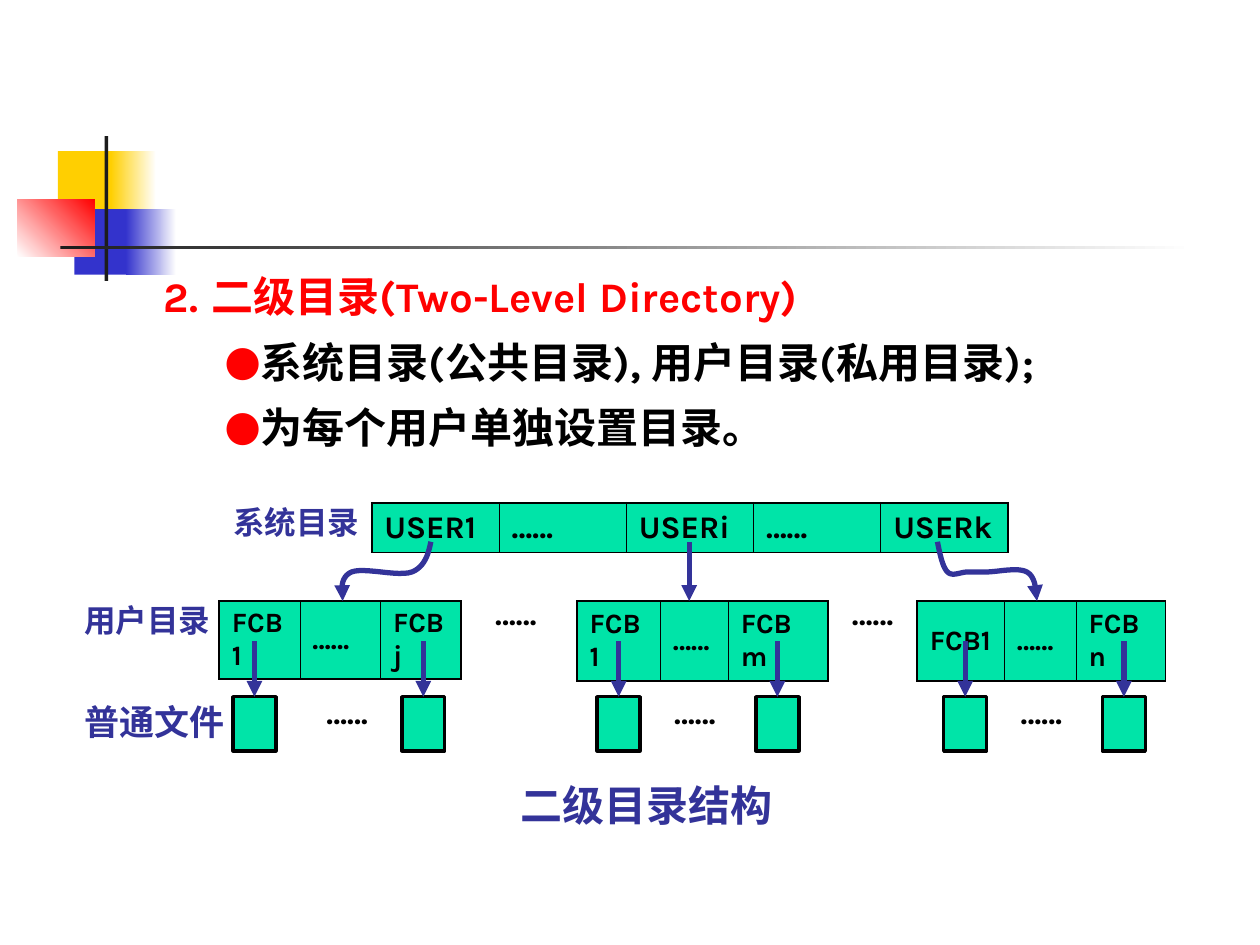
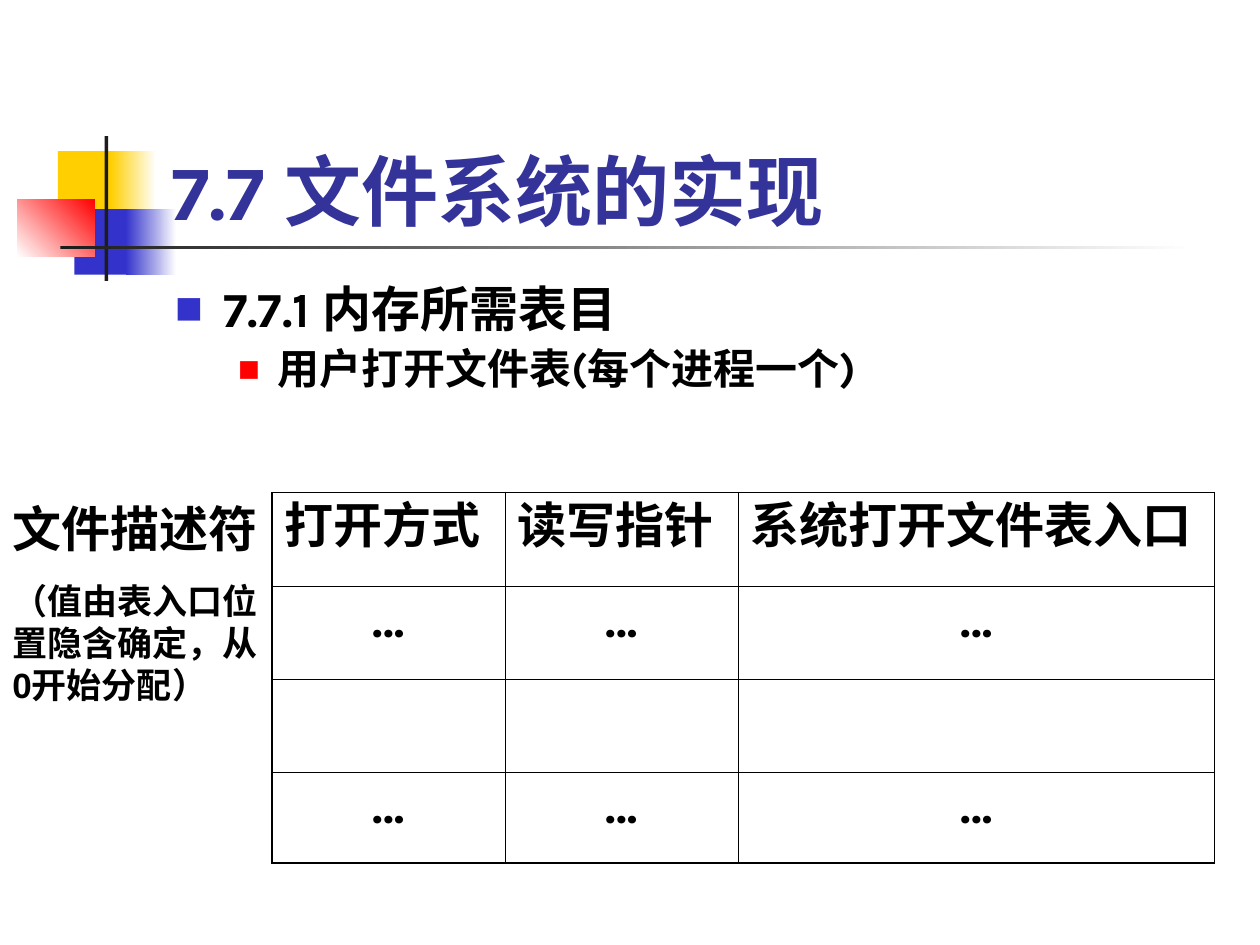
from itertools import accumulate

from lxml.etree import SubElement
from pptx import Presentation
from pptx.dml.color import RGBColor
from pptx.enum.shapes import MSO_CONNECTOR, MSO_SHAPE
from pptx.enum.text import MSO_ANCHOR, MSO_AUTO_SIZE, PP_ALIGN
from pptx.oxml.ns import qn
from pptx.util import Inches, Pt

RECT = MSO_SHAPE.RECTANGLE
LINE = MSO_CONNECTOR.STRAIGHT
TOP, MIDDLE, BOTTOM = MSO_ANCHOR.TOP, MSO_ANCHOR.MIDDLE, MSO_ANCHOR.BOTTOM
LEFT, CENTER = PP_ALIGN.LEFT, PP_ALIGN.CENTER
FIXED = MSO_AUTO_SIZE.NONE

BLACK = RGBColor(0x00, 0x00, 0x00)
WHITE = RGBColor(0xFF, 0xFF, 0xFF)
RED = RGBColor(0xFF, 0x00, 0x00)
GOLD = RGBColor(0xFF, 0xCF, 0x01)
BLUE = RGBColor(0x33, 0x33, 0xCC)
NAVY = RGBColor(0x33, 0x33, 0x99)
DARK = RGBColor(0x1C, 0x1C, 0x1C)
GREEN = RGBColor(0x00, 0xE4, 0xA8)

FONT = "Karla"
DOTS = "……"
THICK, THIN = 1.08, 0.45
FILE_W, FILE_H = 0.34, 0.43
DOT_W, DOT_H = 0.87, 0.24


def inches(*nums):
    """Turn numbers into lengths."""
    return [Inches(num) for num in nums]


def put(para, text, size=18, color=BLACK, face=FONT, align=LEFT, line=1.0, before=0):
    """Write bold text into a paragraph."""
    para.alignment, para.line_spacing, para.space_before = align, line, Pt(before)
    run = para.add_run()
    run.text = text
    font = run.font
    font.size, font.bold, font.name = Pt(size), True, face
    font.color.rgb = color
    SubElement(run._r.get_or_add_rPr(), qn("a:ea"), typeface=face)


def label(slide, box, text, **form):
    """Add a text box without insets."""
    frame = slide.shapes.add_textbox(*inches(*box)).text_frame
    frame.word_wrap = True
    frame.margin_left = frame.margin_right = frame.margin_top = frame.margin_bottom = 0
    put(frame.paragraphs[0], text, **form)


def bullet(para, mark, color, left, hang, scale=100):
    """Give a paragraph a hanging mark; a number starts a numbered list."""
    props = para._p.get_or_add_pPr()
    props.set("marL", str(Inches(left)))
    props.set("indent", str(-Inches(hang)))
    tint = SubElement(props, qn("a:buClr"))
    SubElement(tint, qn("a:srgbClr"), val=str(color))
    SubElement(props, qn("a:buSzPct"), val=str(scale * 1000))
    SubElement(props, qn("a:buFont"), typeface=FONT)
    if isinstance(mark, int):
        SubElement(props, qn("a:buAutoNum"), type="arabicPeriod", startAt=str(mark))
    else:
        SubElement(props, qn("a:buChar"), char=mark)


def place(shape, box, anchor):
    """Move a placeholder and return its text frame."""
    shape.left, shape.top, shape.width, shape.height = inches(*box)
    frame = shape.text_frame
    frame.auto_size, frame.vertical_anchor, frame.word_wrap = FIXED, anchor, True
    return frame


def block(slide, box, fill, end=None, angle=0):
    """Add a rectangle, plain or fading to a second colour."""
    shape = slide.shapes.add_shape(RECT, *inches(*box))
    shape.shadow.inherit = False
    shape.line.fill.background()
    if end is None:
        shape.fill.solid()
        shape.fill.fore_color.rgb = fill
    else:
        shape.fill.gradient()
        shape.fill.gradient_angle = angle
        for stop, color in zip(shape.fill.gradient_stops, (fill, end)):
            stop.color.rgb = color
    return shape


def decor(slide, master, x, y):
    """Build the corner mark and rule, and hand them to the master."""
    parts = [
        ((0.32, 0.12, 0.48, 0.52), GOLD),
        ((0.74, 0.12, 0.36, 0.52), GOLD, WHITE),
        ((0.45, 0.58, 0.46, 0.52), BLUE),
        ((0.86, 0.58, 0.4, 0.52), BLUE, WHITE),
        ((0, 0.5, 0.61, 0.46), WHITE, RED, 45),
        ((0.69, 0, 0.03, 1.15), DARK),
        ((0.34, 0.87, 9, 0.03), DARK, WHITE),
    ]
    for i, ((dx, dy, w, h), *fill) in enumerate(parts):
        node = block(slide, (x + dx, y + dy, w, h), *fill).element
        node.nvSpPr.cNvPr.set("id", str(20 + i))
        master.shapes.element.insert(2 + i, node)


def edge(cell, sides):
    """Draw a cell's borders from a side-to-width map."""
    props = cell._tc.get_or_add_tcPr()
    for side, width in sides.items():
        ln = SubElement(props, qn("a:ln" + side), w=str(Pt(width)))
        fill = SubElement(ln, qn("a:solidFill"))
        SubElement(fill, qn("a:srgbClr"), val=str(BLACK))


def grid(slide, x, y, cols, rows, texts, fill=None, anchor=TOP, **form):
    """Add a table with a heavier outer border."""
    box = inches(x, y, sum(cols), sum(rows))
    table = slide.shapes.add_table(len(rows), len(cols), *box).table
    table.first_row = table.horz_banding = False
    for col, width in zip(table.columns, cols):
        col.width = Inches(width)
    for r, height in enumerate(rows):
        table.rows[r].height = Inches(height)
        for c in range(len(cols)):
            cell = table.cell(r, c)
            outer = {"L": c == 0, "R": c == len(cols) - 1,
                     "T": r == 0, "B": r == len(rows) - 1}
            edge(cell, {side: THICK if out else THIN for side, out in outer.items()})
            if fill is None:
                cell.fill.background()
            else:
                cell.fill.solid()
                cell.fill.fore_color.rgb = fill
            cell.vertical_anchor = anchor
            if texts[r][c]:
                align = CENTER if texts[r][c] == "…" else LEFT
                put(cell.text_frame.paragraphs[0], texts[r][c], align=align, **form)


def tip(shape):
    """Style a line as a navy arrow."""
    shape.line.color.rgb, shape.line.width = NAVY, Pt(3)
    props = shape.element.spPr
    SubElement(props.find(qn("a:ln")), qn("a:tailEnd"), type="triangle")
    if props.find(qn("a:effectLst")) is None:
        SubElement(props, qn("a:effectLst"))


def arrow(slide, x, top, end, target=None):
    """Add a vertical arrow, joined to a target's top if given."""
    line = slide.shapes.add_connector(LINE, *inches(x, top, x, end))
    if target is not None:
        line.end_connect(target, 0)
    tip(line)


def curve(slide, x, y, nodes):
    """Add a curved arrow through cubic Bezier nodes."""
    pts = []
    for i in range(0, len(nodes) - 1, 3):
        four = nodes[i:i + 4]
        for k in range(1, 13):
            t = k / 12
            mix = ((1 - t) ** 3, 3 * t * (1 - t) ** 2, 3 * t * t * (1 - t), t ** 3)
            px, py = (sum(m * n[d] for m, n in zip(mix, four)) for d in (0, 1))
            pts.append(tuple(inches(x + px, y + py)))
    pen = slide.shapes.build_freeform(*inches(x + nodes[0][0], y + nodes[0][1]), scale=1.0)
    pen.add_line_segments(pts, close=False)
    shape = pen.convert_to_shape()
    shape.shadow.inherit = False
    shape.fill.background()
    tip(shape)


def dots(slide, x, y):
    """Add an ellipsis between neighbours."""
    label(slide, (x, y, DOT_W, DOT_H), DOTS, align=CENTER, line=0.8)


def user(slide, x, y, cols, last, files, gap):
    """Add one user's directory with the files below it."""
    texts = [["FCB1", DOTS, "FCB" + last]]
    grid(slide, x, y, cols, [0.32], texts, fill=GREEN, anchor=MIDDLE, size=16)
    for dx in files:
        box = block(slide, (x + dx, y + 0.76, FILE_W, FILE_H), GREEN)
        box.line.color.rgb, box.line.width = BLACK, Pt(2)
        arrow(slide, x + dx + FILE_W / 2, y + 0.32, y + 0.76, box)
    dots(slide, x + gap, y + 0.79)


def tree(slide, x, y):
    """Draw the two-level directory diagram."""
    heads = [["USER1", DOTS, "USERi", DOTS, "USERk"]]
    grid(slide, x + 2.28, y, [1.01] * 5, [0.32], heads, fill=GREEN, anchor=MIDDLE)
    low = y + 0.78
    users = [
        (1.07, (0.64, 0.64, 0.64), "j", (0.11, 1.45), 0.58),
        (3.91, (0.66, 0.54, 0.79), "m", (0.16, 1.42), 0.5),
        (6.61, (0.69, 0.57, 0.71), "n", (0.21, 1.47), 0.55),
    ]
    for dx, *rest in users:
        user(slide, x + dx, low, *rest)
    for dx in (2.99, 5.82):
        dots(slide, x + dx, low)
    names = [(1.18, 0, "系统目录", 18), (0, 0.78, "用户目录", 18), (0, 1.57, "普通文件", 20)]
    for dx, dy, text, size in names:
        label(slide, (x + dx, y + dy, 1.18, 0.3), text, size=size, color=NAVY)
    top = y + 0.31
    curve(slide, x, top, [
        (2.75, 0), (2.73, 0.1), (2.7, 0.2), (2.6, 0.24), (2.49, 0.28), (2.22, 0.2),
        (2.12, 0.24), (2.03, 0.28), (2.04, 0.38), (2.05, 0.47)])
    arrow(slide, x + 4.8, top, low)
    curve(slide, x, top, [
        (6.77, 0), (6.79, 0.1), (6.81, 0.2), (6.85, 0.24), (6.89, 0.28), (6.95, 0.24),
        (7.01, 0.24), (7.06, 0.24), (7.09, 0.24), (7.16, 0.24), (7.24, 0.24),
        (7.41, 0.2), (7.48, 0.24), (7.55, 0.28), (7.55, 0.38), (7.56, 0.47)])
    label(slide, (x + 3.46, y + 2.2, 2.13, 0.4), "二级目录结构", size=24, color=NAVY)


def intro(body, box):
    """Fill the list about two-level directories."""
    frame = place(body, box, MIDDLE)
    frame.margin_left = frame.margin_right = frame.margin_top = frame.margin_bottom = 0
    items = [
        ("二级目录(Two-Level Directory)", RED, 0, 2, 0.38, 0.38),
        ("系统目录(公共目录), 用户目录(私用目录);", BLACK, 1, "●", 0.75, 0.27),
        ("为每个用户单独设置目录。", BLACK, 1, "●", 0.75, 0.27),
    ]
    for i, (text, color, level, mark, left, hang) in enumerate(items):
        para = frame.add_paragraph() if i else frame.paragraphs[0]
        para.level = level
        bullet(para, mark, RED, left, hang)
        put(para, text, size=24, color=color, line=1.3)


def topic(body, box):
    """Fill the list that leads to the open file table."""
    frame = place(body, box, TOP)
    items = [
        ("7.7.1 内存所需表目", 28, BLUE, 0.38, 0.38, 60, 0),
        ("用户打开文件表(每个进程一个)", 24, RED, 0.81, 0.31, 55, 6),
    ]
    for i, (text, size, color, left, hang, scale, before) in enumerate(items):
        para = frame.add_paragraph() if i else frame.paragraphs[0]
        para.level = i
        bullet(para, "■", color, left, hang, scale)
        put(para, text, size=size, line=0.9, before=before)


def opened(slide, x, y):
    """Add the open file table and the note on its left."""
    fill = ["…"] * 3
    texts = [["打开方式", "读写指针", "系统打开文件表入口"], fill, [""] * 3, fill]
    grid(slide, x + 2.16, y, [1.85, 1.85, 3.78], [0.74, 0.74, 0.74, 0.72], texts, size=28)
    frame = slide.shapes.add_textbox(*inches(x, y, 2.16, 1.74)).text_frame
    frame.word_wrap = True
    put(frame.paragraphs[0], "文件描述符", size=28)
    put(frame.add_paragraph(), "（值由表入口位置隐含确定，从0开始分配）",
        size=20, face="Arial", before=12.5)


def main():
    """Build and save both slides."""
    prs = Presentation()
    prs.slide_width, prs.slide_height = inches(10, 7.5)
    first, second = (prs.slides.add_slide(prs.slide_layouts[1]) for _ in range(2))
    decor(first, prs.slide_master, 0.14, 1.08)

    title = first.shapes.title.element
    title.getparent().remove(title)
    intro(first.placeholders[1], (1.3, 1.77, 7.17, 2.08))
    tree(first, 0.67, 3.99)

    frame = place(second.shapes.title, (1.26, 0.67, 8.52, 1.25), BOTTOM)
    put(frame.paragraphs[0], "7.7 文件系统的实现", size=44, color=NAVY)
    topic(second.placeholders[1], (1.29, 2.21, 7.96, 0.99))
    opened(second, 0, 3.91)
    prs.save("out.pptx")


if __name__ == "__main__":
    main()
